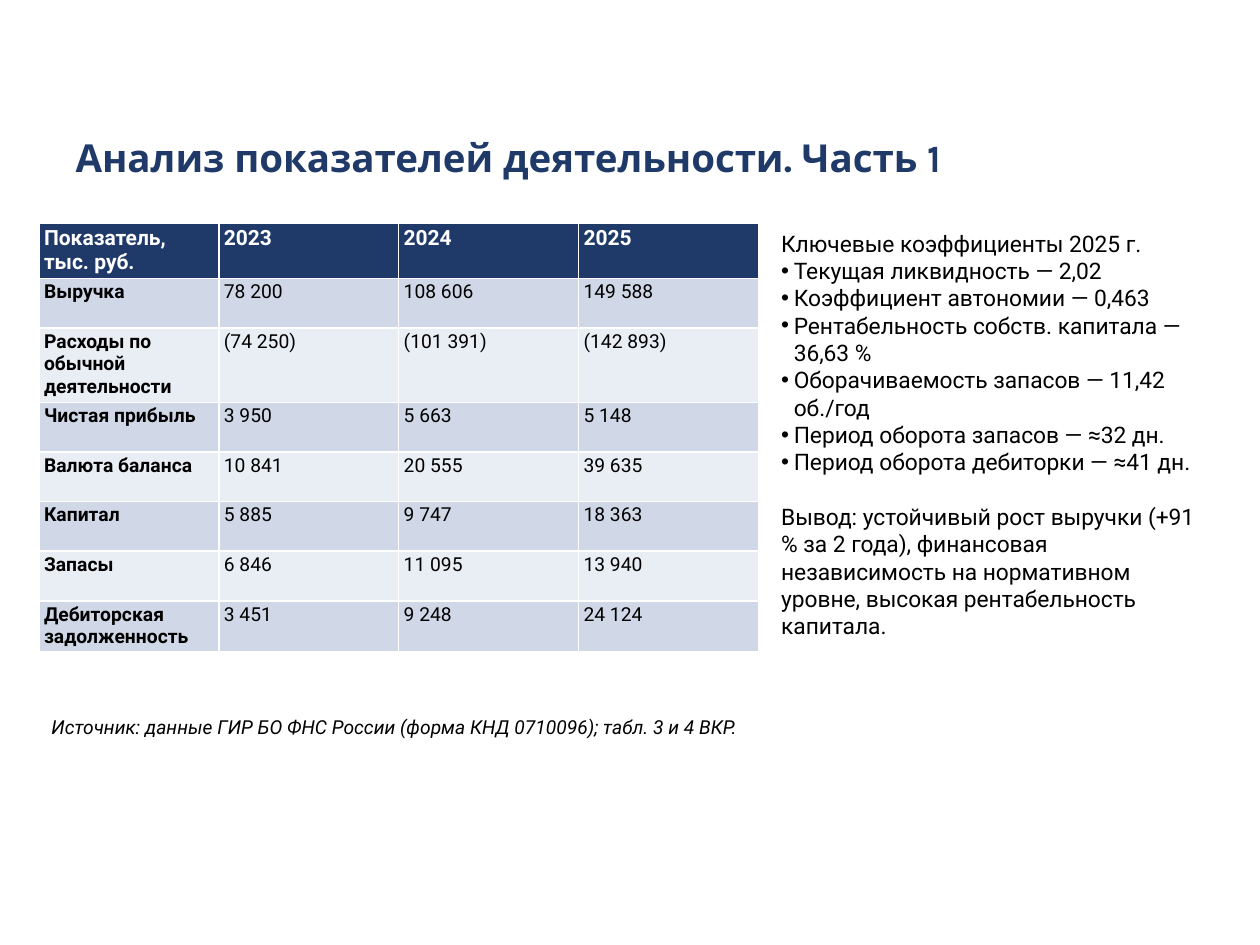
from dataclasses import dataclass

from lxml.etree import SubElement
from pptx import Presentation
from pptx.dml.color import RGBColor
from pptx.enum.text import MSO_ANCHOR as Anchor, MSO_AUTO_SIZE as AutoSize, PP_ALIGN as Align
from pptx.oxml.ns import qn
from pptx.util import Inches, Pt


@dataclass(frozen=True)
class Theme:
    title_font: str = "Karla"
    text_font: str = "Roboto"
    navy: str = "1F3A68"
    white: str = "FFFFFF"
    black: str = "000000"
    bands: tuple = ("D0D8E8", "E9EDF4")
    title_size: int = 22
    body_size: int = 13
    header_size: int = 12
    small_size: int = 11


THEME = Theme()

TITLE = "Анализ показателей деятельности. Часть 1"
TABLE_ROWS = [
    ("Показатель, тыс. руб.", "2023", "2024", "2025"),
    ("Выручка", "78 200", "108 606", "149 588"),
    ("Расходы по обычной деятельности", "(74 250)", "(101 391)", "(142 893)"),
    ("Чистая прибыль", "3 950", "5 663", "5 148"),
    ("Валюта баланса", "10 841", "20 555", "39 635"),
    ("Капитал", "5 885", "9 747", "18 363"),
    ("Запасы", "6 846", "11 095", "13 940"),
    ("Дебиторская задолженность", "3 451", "9 248", "24 124"),
]
RATIOS_HEADING = "Ключевые коэффициенты 2025 г."
RATIOS = [
    "Текущая ликвидность — 2,02",
    "Коэффициент автономии — 0,463",
    "Рентабельность собств. капитала — 36,63 %",
    "Оборачиваемость запасов — 11,42 об./год",
    "Период оборота запасов — ≈32 дн.",
    "Период оборота дебиторки — ≈41 дн.",
]
CONCLUSION = (
    "Вывод: устойчивый рост выручки (+91 % за 2 года), финансовая независимость "
    "на нормативном уровне, высокая рентабельность капитала."
)
SOURCE = "Источник: данные ГИР БО ФНС России (форма КНД 0710096); табл. 3 и 4 ВКР."


def place(shape, left, top, width, height):
    shape.left, shape.top = Inches(left), Inches(top)
    shape.width, shape.height = Inches(width), Inches(height)


def style(paragraph, size, color=THEME.black, name=THEME.text_font, bold=False, italic=False):
    font = paragraph.font
    font.name, font.size = name, Pt(size)
    font.bold, font.italic = bold, italic
    font.color.rgb = RGBColor.from_string(color)


def set_bullet(paragraph, character=None):
    properties = paragraph._p.get_or_add_pPr()
    indent = Inches(0.1) if character else 0
    properties.set("marL", str(indent))
    properties.set("indent", str(-indent))
    if character:
        SubElement(properties, qn("a:buChar")).set("char", character)
    else:
        SubElement(properties, qn("a:buNone"))


def fill_title(title):
    place(title, 0.5, 0.85, 9, 0.8)
    frame = title.text_frame
    frame.text = TITLE
    frame.auto_size = AutoSize.NONE
    frame.vertical_anchor = Anchor.MIDDLE
    paragraph = frame.paragraphs[0]
    paragraph.alignment = Align.LEFT
    style(paragraph, THEME.title_size, THEME.navy, THEME.title_font, bold=True)


def fill_ratios(body):
    place(body, 6.1, 1.77, 3.62, 3.15)
    frame = body.text_frame
    frame.text = "\n".join([RATIOS_HEADING, *RATIOS, CONCLUSION])
    frame.auto_size = AutoSize.SHAPE_TO_FIT_TEXT
    for paragraph in frame.paragraphs:
        paragraph.space_before = Pt(0)
        set_bullet(paragraph, "•" if paragraph.text in RATIOS else None)
        style(paragraph, THEME.body_size)
    frame.paragraphs[-1].space_before = Pt(15.6)


def fill_cell(cell, text, fill, size, color, bold):
    cell.text = text
    cell.margin_left = cell.margin_right = Inches(0.04)
    cell.margin_top = cell.margin_bottom = Inches(0.02)
    cell.fill.solid()
    cell.fill.fore_color.rgb = RGBColor.from_string(fill)
    style(cell.text_frame.paragraphs[0], size, color, bold=bold)


def add_indicator_table(slide):
    frame = slide.shapes.add_table(
        len(TABLE_ROWS), len(TABLE_ROWS[0]),
        Inches(0.31), Inches(1.77), Inches(5.71), Inches(3.15),
    )
    for row_index, values in enumerate(TABLE_ROWS):
        for column_index, text in enumerate(values):
            cell = frame.table.cell(row_index, column_index)
            if row_index == 0:
                fill_cell(cell, text, THEME.navy, THEME.header_size, THEME.white, True)
            else:
                band = THEME.bands[(row_index - 1) % 2]
                fill_cell(cell, text, band, THEME.small_size, THEME.black, column_index == 0)


def add_source(slide):
    box = slide.shapes.add_textbox(Inches(0.31), Inches(5.63), Inches(9.25), Inches(0.59))
    frame = box.text_frame
    frame.word_wrap = True
    frame.text = SOURCE
    style(frame.paragraphs[0], THEME.small_size, italic=True)


def main():
    presentation = Presentation()
    presentation.slide_width, presentation.slide_height = Inches(10), Inches(7.5)
    slide = presentation.slides.add_slide(presentation.slide_layouts[1])
    fill_title(slide.shapes.title)
    add_indicator_table(slide)
    fill_ratios(slide.placeholders[1])
    add_source(slide)
    presentation.save("out.pptx")


if __name__ == "__main__":
    main()
